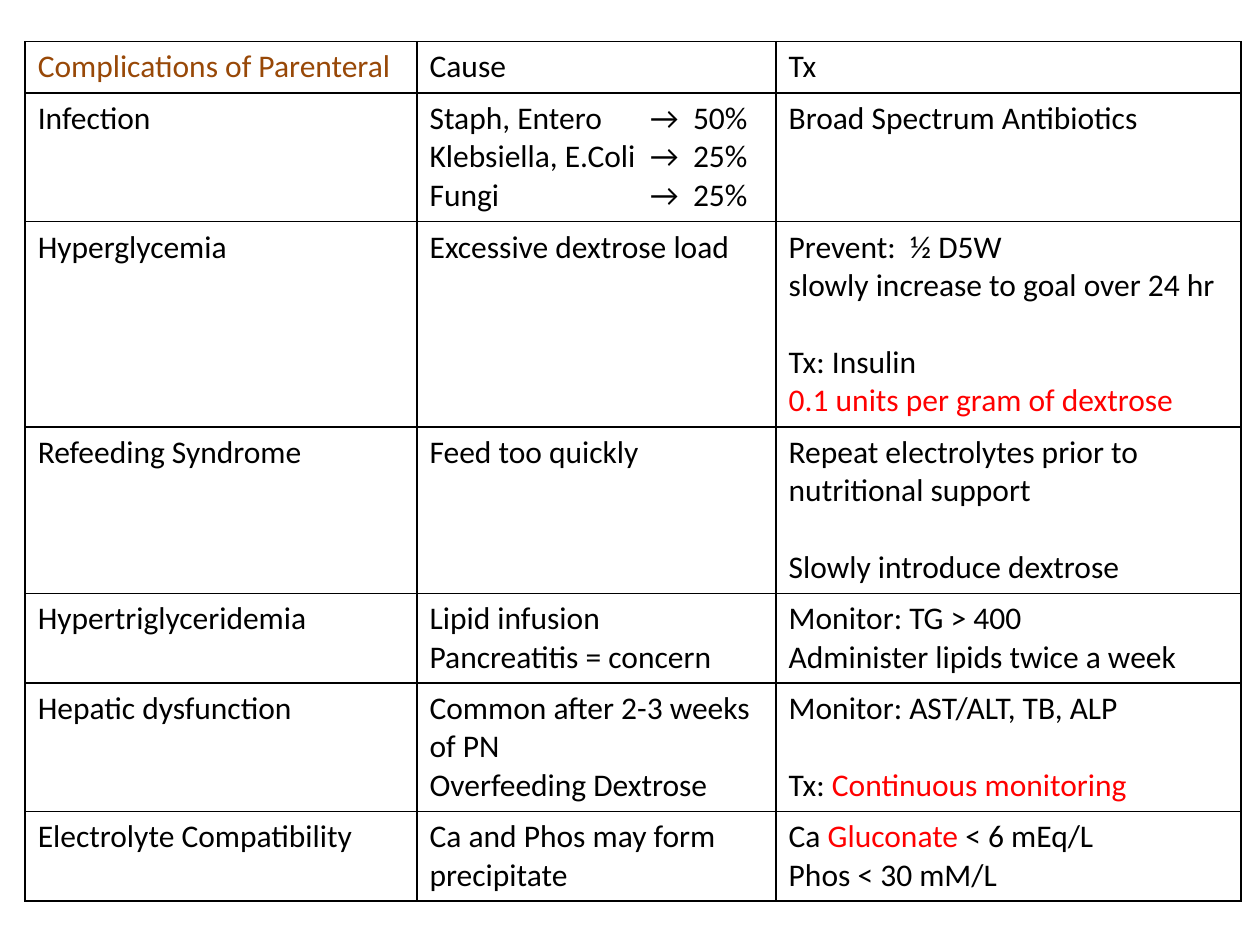
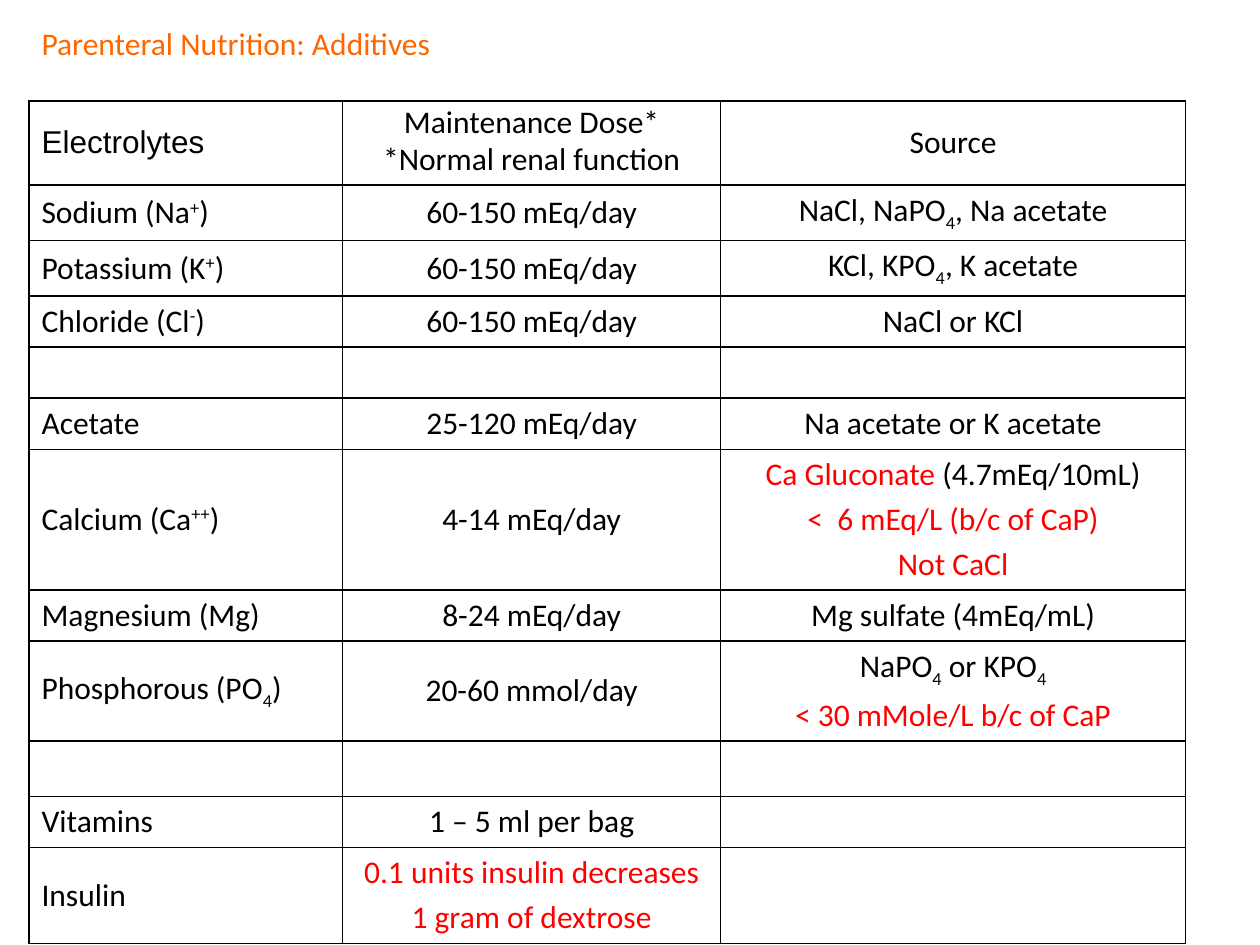
"""Build two slides of tables on parenteral nutrition: complications and additives."""
from lxml import etree
from pptx import Presentation
from pptx.dml.color import RGBColor
from pptx.enum.text import MSO_ANCHOR, MSO_AUTO_SIZE, PP_ALIGN
from pptx.oxml.ns import qn
from pptx.util import Inches, Pt

BLACK = RGBColor(0x00, 0x00, 0x00)
WHITE = RGBColor(0xFF, 0xFF, 0xFF)
RED = RGBColor(0xFF, 0x00, 0x00)
BROWN = RGBColor(0x98, 0x48, 0x07)
ORANGE = RGBColor(0xFF, 0x66, 0x00)
FONT, SIZE, LINE = "Calibri", Pt(18), Pt(22)
SUP, SUB = 30000, -25000
GAP = None
ARROW_TABS = (1.75, 2.09)


def fill_cell(cell, paragraphs, align, space):
    """Write paragraphs of plain or (text, style) runs; GAP leaves one line free."""
    for side in ("L", "R", "T", "B"):
        ln = etree.SubElement(cell._tc.get_or_add_tcPr(), qn(f"a:ln{side}"), w="12700")
        solid = etree.SubElement(ln, qn("a:solidFill"))
        etree.SubElement(solid, qn("a:srgbClr"), val=str(BLACK))
    cell.fill.solid()
    cell.fill.fore_color.rgb = WHITE
    tf = cell.text_frame
    p, before = tf.paragraphs[0], 0
    for i, runs in enumerate(paragraphs):
        if runs is GAP:
            before = LINE
            continue
        if i:
            p = tf.add_paragraph()
            p.space_before = before or space
            before = 0
        runs = [runs] if isinstance(runs, (str, tuple)) else runs
        if "\t" in runs[0]:
            tabs = etree.SubElement(p._p.get_or_add_pPr(), qn("a:tabLst"))
            for stop in ARROW_TABS:
                etree.SubElement(tabs, qn("a:tab"), pos=str(Inches(stop)), algn="l")
        for run in runs:
            text, style = (run, None) if isinstance(run, str) else run
            r = p.add_run()
            r.text = text
            if style is RED:
                r.font.color.rgb = RED
            elif style:
                r._r.get_or_add_rPr().set("baseline", str(style))
    for p in tf.paragraphs:
        p.alignment = align
        p.font.name, p.font.size, p.font.color.rgb = FONT, SIZE, BLACK


def add_grid(s, left, top, widths, heights, rows, aligns, space):
    """Add a black-ruled table and return it."""
    t = s.shapes.add_table(len(rows), len(widths), Inches(left), Inches(top),
                           Inches(sum(widths)), Inches(sum(heights))).table
    t.first_row = t.horz_banding = False
    for col, width in zip(t.columns, widths):
        col.width = Inches(width)
    for i, row in enumerate(rows):
        t.rows[i].height = Inches(heights[i])
        for j, content in enumerate(row):
            paragraphs = content if isinstance(content, list) else [content]
            fill_cell(t.cell(i, j), paragraphs, aligns[j], space)
    return t


prs = Presentation()
prs.slide_width, prs.slide_height = Inches(10), Inches(7.5)

complications = [
    ["Complications of Parenteral", "Cause", "Tx"],
    ["Infection",
     ["Staph, Entero\t→\t50%", "Klebsiella, E.Coli\t→\t25%", "Fungi\t→\t25%"],
     "Broad Spectrum Antibiotics"],
    ["Hyperglycemia", "Excessive dextrose load",
     ["Prevent:  ½ D5W", "slowly increase to goal over 24 hr", GAP,
      "Tx: Insulin", ("0.1 units per gram of dextrose", RED)]],
    ["Refeeding Syndrome", "Feed too quickly",
     ["Repeat electrolytes prior to nutritional support", GAP,
      "Slowly introduce dextrose"]],
    ["Hypertriglyceridemia", ["Lipid infusion", "Pancreatitis = concern"],
     ["Monitor: TG > 400", "Administer lipids twice a week"]],
    ["Hepatic dysfunction", ["Common after 2-3 weeks of PN", "Overfeeding Dextrose"],
     ["Monitor: AST/ALT, TB, ALP", GAP, ["Tx: ", ("Continuous monitoring", RED)]]],
    ["Electrolyte Compatibility", "Ca and Phos may form precipitate",
     [["Ca ", ("Gluconate", RED), " < 6 mEq/L"], "Phos < 30 mM/L"]],
]
s = prs.slides.add_slide(prs.slide_layouts[6])
t = add_grid(s, 0.2, 0.33, (3.11, 2.85, 3.69), (0.41, 1.02, 1.63, 1.32, 0.71, 1.02, 0.71),
             complications, [PP_ALIGN.LEFT] * 3, Pt(0))
t.cell(0, 0).text_frame.paragraphs[0].font.color.rgb = BROWN

additives = [
    ["Electrolytes", ["Maintenance Dose*", "*Normal renal function"], "Source"],
    [[["Sodium (Na", ("+", SUP), ")"]], "60-150 mEq/day",
     [["NaCl, NaPO", ("4", SUB), ", Na acetate"]]],
    [[["Potassium (K", ("+", SUP), ")"]], "60-150 mEq/day",
     [["KCl, KPO", ("4", SUB), ", K acetate"]]],
    [[["Chloride (Cl", ("-", SUP), ")"]], "60-150 mEq/day", "NaCl or KCl"],
    [[], [], []],
    ["Acetate", "25-120 mEq/day", "Na acetate or K acetate"],
    [[["Calcium (Ca", ("++", SUP), ")"]], "4-14 mEq/day",
     [[("Ca Gluconate ", RED), "(4.7mEq/10mL)"],
      ("<  6 mEq/L (b/c of CaP)", RED), ("Not CaCl", RED)]],
    ["Magnesium (Mg)", "8-24 mEq/day", "Mg sulfate (4mEq/mL)"],
    [[["Phosphorous (PO", ("4", SUB), ")"]], "20-60 mmol/day",
     [["NaPO", ("4", SUB), " or KPO", ("4", SUB)], ("< 30 mMole/L b/c of CaP", RED)]],
    [[], [], []],
    ["Vitamins", "1 – 5 ml per bag", []],
    ["Insulin", [("0.1 units insulin decreases", RED), ("1 gram of dextrose", RED)], []],
]
s = prs.slides.add_slide(prs.slide_layouts[5])
sp = s.shapes.title
sp.left, sp.top, sp.width, sp.height = Inches(0.23), Inches(0.14), Inches(3.34), Inches(0.4)
tf = sp.text_frame
tf.text = "Parenteral Nutrition: Additives"
tf.word_wrap = False
tf.auto_size = MSO_AUTO_SIZE.NONE
tf.vertical_anchor = MSO_ANCHOR.TOP
p = tf.paragraphs[0]
p.alignment = PP_ALIGN.LEFT
p.font.name, p.font.size, p.font.color.rgb = FONT, SIZE, ORANGE

t = add_grid(s, 0.23, 0.8, (2.49, 3, 3.69),
             (0.67, 0.44, 0.44, 0.4, 0.4, 0.4, 1.1, 0.4, 0.79, 0.44, 0.4, 0.75),
             additives, (PP_ALIGN.LEFT, PP_ALIGN.CENTER, PP_ALIGN.CENTER), Pt(3.6))
for cell in t.iter_cells():
    cell.vertical_anchor = MSO_ANCHOR.MIDDLE
t.cell(0, 0).text_frame.paragraphs[0].font.name = "Arial"
for p in t.cell(0, 1).text_frame.paragraphs:
    p.line_spacing = 0.8

prs.save("out.pptx")
